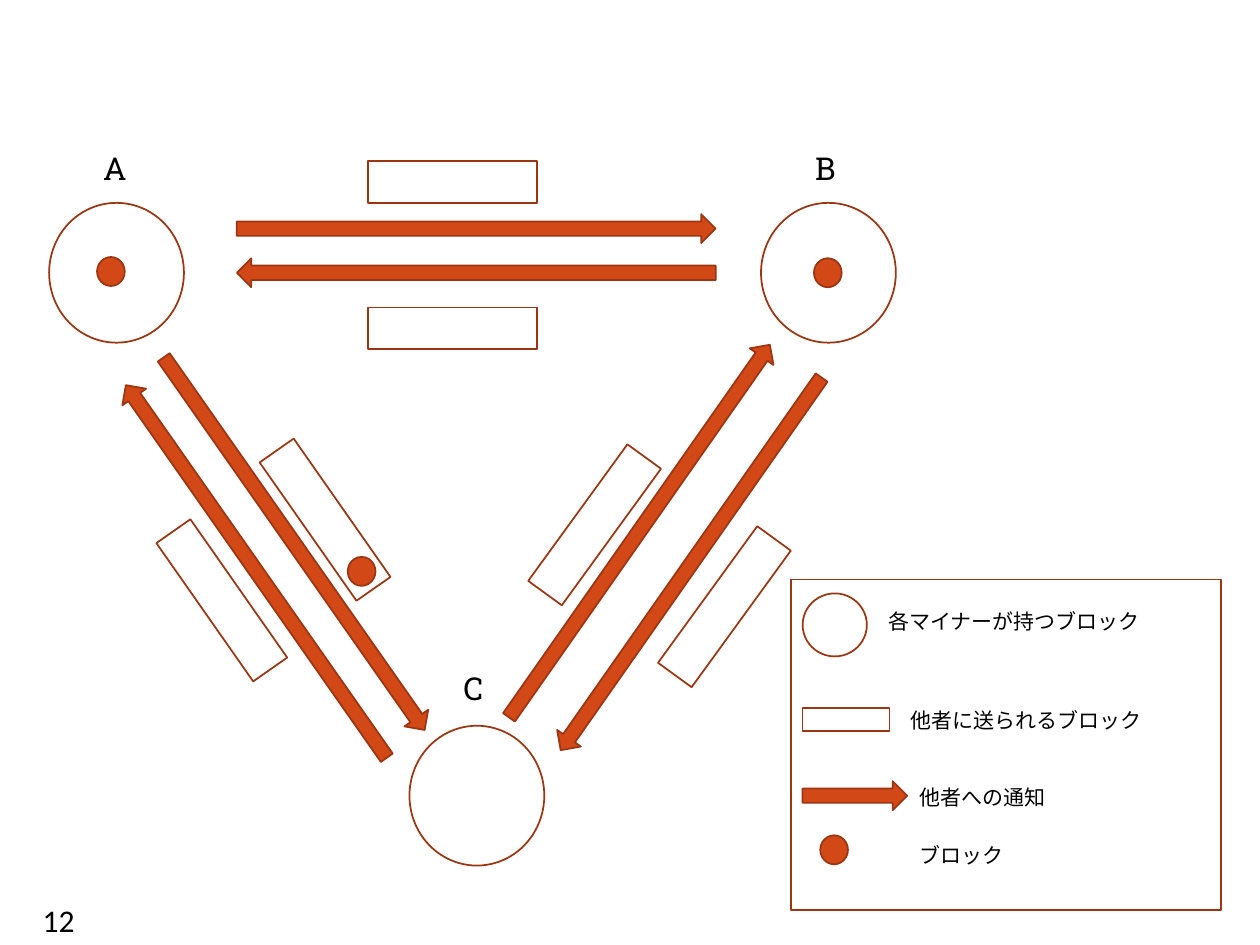
from pptx import Presentation
from pptx.dml.color import RGBColor
from pptx.enum.shapes import MSO_SHAPE
from pptx.util import Inches, Pt

FILL = RGBColor(0xD3, 0x48, 0x17)
EDGE = RGBColor(0x9C, 0x35, 0x11)
INK = RGBColor(0, 0, 0)
OVAL, RECT, ARROW = MSO_SHAPE.OVAL, MSO_SHAPE.RECTANGLE, MSO_SHAPE.RIGHT_ARROW

deck = Presentation()
deck.slide_width, deck.slide_height = Inches(10), Inches(7.5)
slide = deck.slides.add_slide(deck.slide_layouts[6])
col, row = deck.slide_width / 100, deck.slide_height / 75


def draw(kind, x, y, wide, high, turn=0, solid=False):
    shape = slide.shapes.add_shape(
        kind, round(x * col), round(y * row), round(wide * col), round(high * row))
    shape.rotation = turn
    shape.shadow.inherit = False
    if solid:
        shape.fill.solid()
        shape.fill.fore_color.rgb = FILL
    else:
        shape.fill.background()
    shape.line.color.rgb = EDGE
    shape.line.width = Pt(1)


def write(words, x, y, wide, high, size, font="Roboto Slab"):
    box = slide.shapes.add_textbox(
        round(x * col), round(y * row), round(wide * col), round(high * row))
    frame = box.text_frame
    frame.word_wrap = True
    frame.text = words
    run = frame.paragraphs[0].runs[0]
    run.font.size = Pt(size)
    run.font.name = font
    run.font.color.rgb = INK


miners = [("A", 3.9, 16.1, 11.3), ("B", 60.4, 16.1, 11.3), ("C", 32.5, 57.6, 52.6)]
for name, x, y, top in miners:
    draw(OVAL, x, y, 10.7, 11.1)
    write(name, x + 3.3, top, 4.2, 4, 18)

slots = [(29.2, 12.8, 0), (29.2, 24.4, 0), (40.5, 40, 306),
         (50.8, 46.5, 306), (19.1, 39.6, 55), (10.9, 46, 55)]
for x, y, turn in slots:
    draw(RECT, x, y, 13.4, 3.3, turn)

sends = [(18.8, 17, 38, 0), (18.8, 20.5, 38, 180), (36.8, 43.6, 36.1, 125),
         (32.7, 41, 36.1, 305), (2.3, 44.2, 36.1, 235), (5.3, 42, 36.1, 55)]
for x, y, wide, turn in sends:
    draw(ARROW, x, y, wide, 2.3, turn, True)

for x, y in [(7.7, 20.4), (64.6, 20.5), (27.6, 44.2), (65.1, 66.3)]:
    draw(OVAL, x, y, 2.2, 2.3, solid=True)

draw(RECT, 62.8, 46, 34.1, 26.2)
draw(OVAL, 63.7, 47.1, 5.1, 5)
draw(RECT, 63.7, 56.2, 6.9, 1.8)
draw(ARROW, 63.7, 62, 8.3, 2.3, solid=True)

legend = [("各マイナーが持つブロック", 69.5, 47.8, 27.1),
          ("他者に送られるブロック", 71.3, 55.7, 26.3),
          ("他者への通知", 72, 61.8, 17.3),
          ("ブロック", 72, 66.4, 17.3)]
for words, x, y, wide in legend:
    write(words, x, y, wide, 3, 12)

write("12", 2.4, 71, 8, 4, 18, "Calibri")

deck.save("out.pptx")
